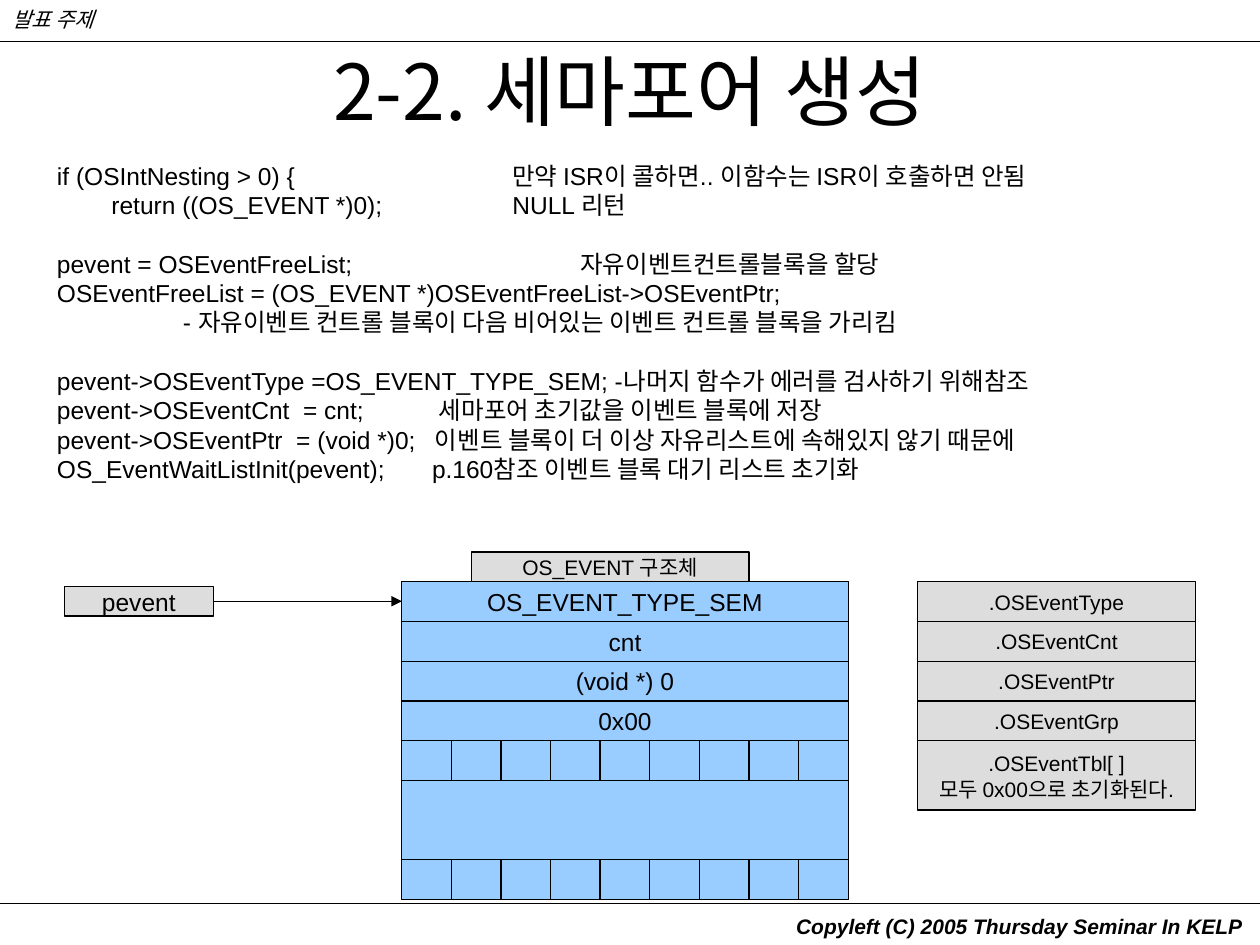
from dataclasses import dataclass

from lxml import etree
from pptx import Presentation
from pptx.dml.color import RGBColor
from pptx.enum.shapes import MSO_CONNECTOR, MSO_SHAPE
from pptx.enum.text import MSO_ANCHOR, PP_ALIGN
from pptx.oxml.ns import qn
from pptx.util import Cm, Pt

LINE = MSO_CONNECTOR.STRAIGHT
RECT = MSO_SHAPE.RECTANGLE
TOP, MID = MSO_ANCHOR.TOP, MSO_ANCHOR.MIDDLE
LEFT, CENTER = PP_ALIGN.LEFT, PP_ALIGN.CENTER


@dataclass(frozen=True)
class Theme:
    ink: RGBColor = RGBColor(0, 0, 0)
    blue: RGBColor = RGBColor(0x99, 0xCC, 0xFF)
    gray: RGBColor = RGBColor(0xDD, 0xDD, 0xDD)
    font: str = "Arial"
    hangul: str = "Noto Sans CJK KR"
    head: int = 44
    body: int = 14
    small: int = 12
    pitch: float = 16.75
    tight: int = 15
    rule: float = 0.75


T = Theme()

# Each code line: text, tab stop in cm (or None), starts a new block
CODE = [
    ("if (OSIntNesting > 0) {\t만약 ISR이 콜하면.. 이함수는 ISR이 호출하면 안됨", 9.18, False),
    ("        return ((OS_EVENT *)0);\tNULL 리턴", 9.18, False),
    ("pevent = OSEventFreeList;\t자유이벤트컨트롤블록을 할당", 10.55, True),
    ("OSEventFreeList = (OS_EVENT *)OSEventFreeList->OSEventPtr;", None, False),
    ("\t- 자유이벤트 컨트롤 블록이 다음 비어있는 이벤트 컨트롤 블록을 가리킴", 2.54, False),
    ("pevent->OSEventType =OS_EVENT_TYPE_SEM; -나머지 함수가 에러를 검사하기 위해참조", None, True),
    ("pevent->OSEventCnt  = cnt;\t세마포어 초기값을 이벤트 블록에 저장", 7.7, False),
    ("pevent->OSEventPtr  = (void *)0;\t이벤트 블록이 더 이상 자유리스트에 속해있지 않기 때문에", 7.62, False),
    ("OS_EventWaitListInit(pevent);\tp.160참조 이벤트 블록 대기 리스트 초기화", 7.56, False),
]
VALUES = ["OS_EVENT_TYPE_SEM", "cnt", "(void *) 0", "0x00"]
FIELDS = [".OSEventType", ".OSEventCnt", ".OSEventPtr", ".OSEventGrp"]


def write(para, text, size=T.body, font=T.font, align=LEFT, bold=False,
          slant=False, tab=None, pitch=None, gap=None):
    """Fill one paragraph with formatted text."""
    if tab is not None:
        stops = etree.SubElement(para._p.get_or_add_pPr(), qn("a:tabLst"))
        etree.SubElement(stops, qn("a:tab"), pos=str(Cm(tab)), algn="l")
    para.alignment = align
    if pitch:
        para.line_spacing = Pt(pitch)
    if gap:
        para.space_before = Pt(gap)
    run = para.add_run()
    run.text = text
    face = run.font
    face.size, face.name = Pt(size), font
    face.bold, face.italic = bold, slant
    face.color.rgb = T.ink
    etree.SubElement(run._r.get_or_add_rPr(), qn("a:ea"), typeface=T.hangul)


def place(x, y, w, h):
    return Cm(x), Cm(y), Cm(w), Cm(h)


def add_text(slide, spot):
    """Add an empty wrapping text box and return its frame."""
    frame = slide.shapes.add_textbox(*place(*spot)).text_frame
    frame.word_wrap = True
    frame.vertical_anchor = TOP
    return frame


def add_box(slide, spot, fill, lines=(), **form):
    box = slide.shapes.add_shape(RECT, *place(*spot))
    box.shadow.inherit = False
    box.fill.solid()
    box.fill.fore_color.rgb = fill
    box.line.color.rgb = T.ink
    box.line.width = Pt(T.rule)
    frame = box.text_frame
    frame.word_wrap = False
    frame.vertical_anchor = MID
    for i, text in enumerate(lines):
        para = frame.add_paragraph() if i else frame.paragraphs[0]
        write(para, text, align=CENTER, **form)


def add_line(slide, x, y, end, arrow=False):
    """Add a level line from x to end."""
    line = slide.shapes.add_connector(LINE, Cm(x), Cm(y), Cm(end), Cm(y))
    line.line.color.rgb = T.ink
    line.line.width = Pt(T.rule)
    if arrow:
        etree.SubElement(line.line._get_or_add_ln(), qn("a:tailEnd"), type="triangle")
    etree.SubElement(line._element.spPr, qn("a:effectLst"))


def add_frame(slide, wide):
    """Header and footer with their rules."""
    add_line(slide, 0, 0.84, wide)
    add_line(slide, 0, 18.21, wide)
    write(add_text(slide, (15.8, 18.29, 9.6, 0.76)).paragraphs[0],
          "Copyleft (C) 2005 Thursday Seminar In KELP",
          size=T.small, bold=True, slant=True)
    write(add_text(slide, (0, 0, 8.89, 0.76)).paragraphs[0],
          "발표 주제", size=T.small, slant=True)


def add_code(slide):
    frame = add_text(slide, (0.9, 3.12, 23.8, 6.78))
    for i, (text, tab, block) in enumerate(CODE):
        para = frame.add_paragraph() if i else frame.paragraphs[0]
        write(para, text, tab=tab, pitch=T.pitch, gap=T.pitch if block else None)


def add_struct(slide):
    """Event block, its pointer and the field names."""
    left, top, wide, row = 8.1, 11.73, 9, 0.8
    side, span = 18.5, 5.6
    for i, (value, field) in enumerate(zip(VALUES, FIELDS)):
        y = top + i * row
        add_box(slide, (left, y, wide, row), T.blue, [value])
        add_box(slide, (side, y, span, row), T.gray, [field], size=T.small)

    # Table rows of nine cells around the open middle
    table = top + len(VALUES) * row
    add_box(slide, (left, table + row, wide, 2 * row), T.blue)
    for y in (table, table + 3 * row):
        for col in range(wide):
            add_box(slide, (left + col, y, 1, row), T.blue)
    add_box(slide, (side, table, span, 1.4), T.gray,
            [".OSEventTbl[ ]", "모두 0x00으로 초기화된다."],
            size=T.small, pitch=T.tight)

    # Labels and pointer
    add_box(slide, (9.5, top - 0.6, span, 0.6), T.gray,
            ["OS_EVENT 구조체"], size=T.small)
    add_box(slide, (1.3, 11.82, 3, 0.6), T.gray, ["pevent"])
    add_line(slide, 4.3, 12.12, left, arrow=True)


def main():
    deck = Presentation()
    deck.slide_width, deck.slide_height = Cm(25.4), Cm(19.05)
    slide = deck.slides.add_slide(deck.slide_layouts[6])
    add_frame(slide, 25.4)
    write(add_text(slide, (1.27, 0.76, 22.86, 3.18)).paragraphs[0],
          "2-2. 세마포어 생성", size=T.head, font=T.hangul, align=CENTER)
    add_code(slide)
    add_struct(slide)
    deck.save("out.pptx")


if __name__ == "__main__":
    main()
